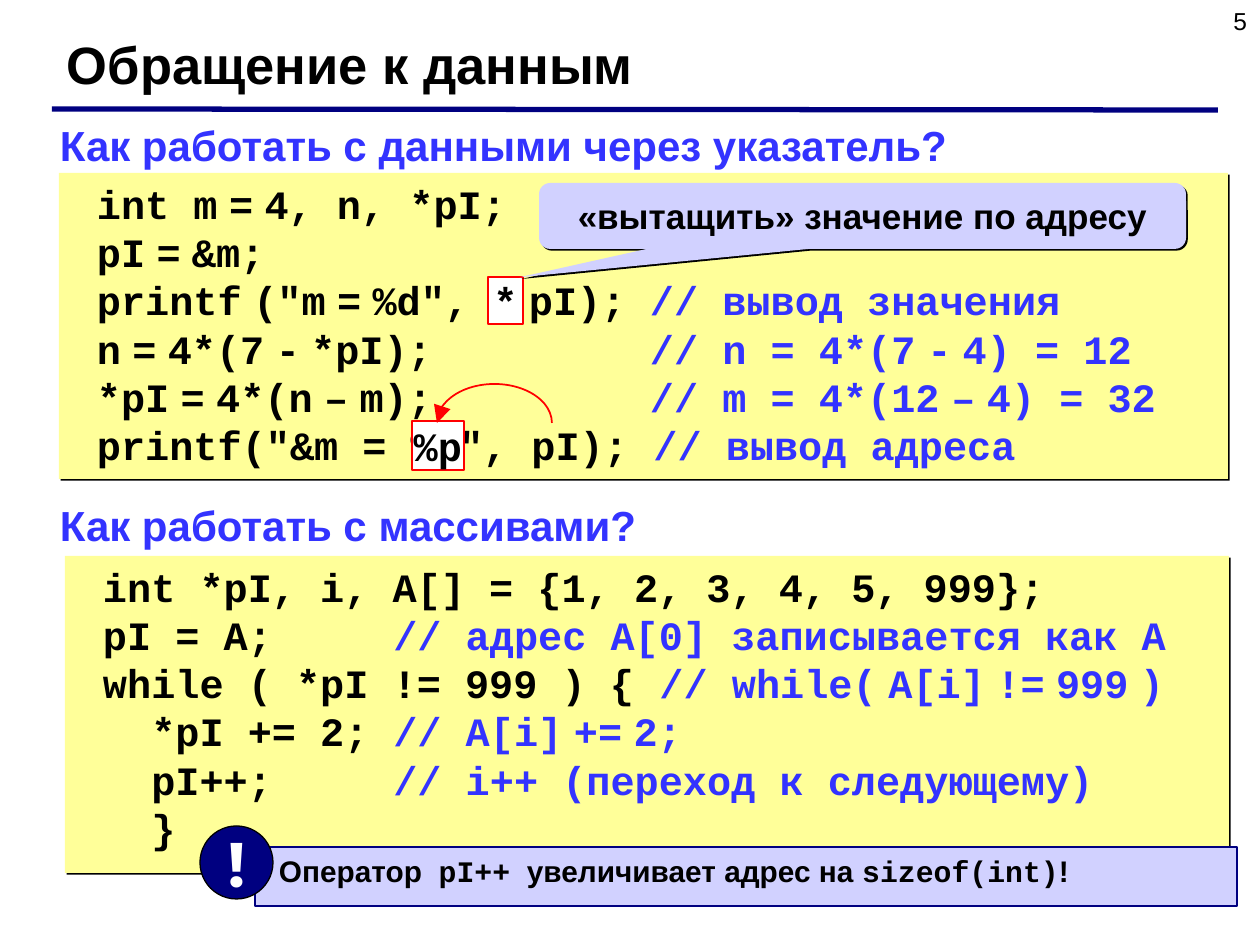
from lxml import etree
from pptx import Presentation
from pptx.dml.color import RGBColor
from pptx.enum.shapes import MSO_CONNECTOR, MSO_SHAPE
from pptx.enum.text import MSO_ANCHOR, PP_ALIGN
from pptx.oxml.ns import qn
from pptx.util import Pt

EMU_PER_PX = 914400 / 126
RECT, ELLIPSE, ARC = MSO_SHAPE.RECTANGLE, MSO_SHAPE.OVAL, MSO_SHAPE.ARC
CALLOUT = MSO_SHAPE.ROUNDED_RECTANGULAR_CALLOUT
STRAIGHT = MSO_CONNECTOR.STRAIGHT
LEFT, CENTER, RIGHT = PP_ALIGN.LEFT, PP_ALIGN.CENTER, PP_ALIGN.RIGHT
TOP, MIDDLE = MSO_ANCHOR.TOP, MSO_ANCHOR.MIDDLE

SANS, MONO, DISPLAY = "Arial", "Courier New", "Montserrat"
NARROW = "~"
COLORS = {
    "ink": "000000", "paper": "FFFFFF", "navy": "000080", "blue": "3333FF",
    "code": "FFFF99", "lilac": "D1D1FF", "red": "FF0000",
}
POINTER_CODE = [
    ("int m~=~4, n, *pI;", ""),
    ("pI~=~&m;", ""),
    ('printf~("m~=~%d", *~pI); ', "// вывод значения"),
    ("n~=~4*(7~-~*pI);         ", "// n = 4*(7~-~4) = 12"),
    ("*pI~=~4*(n~–~m);         ", "// m = 4*(12~–~4) = 32"),
    ('printf("&m = %p", pI); ', "// вывод адреса"),
]
ARRAY_CODE = [
    ("int *pI, i, A[] = {1, 2, 3, 4, 5, 999};", ""),
    ("pI = A;     ", "// адрес A[0] записывается как A"),
    ("while ( *pI != 999 ) { ", "// while(~A[i]~!=~999~)"),
    ("  *pI += 2; ", "// A[i]~+=~2;"),
    ("  pI++;     ", "// i++ (переход к следующему)"),
    ("  }", ""),
]


def px(value):
    """Turn px into EMU."""
    return round(value * EMU_PER_PX)


def rgb(name):
    """Look up a palette colour."""
    return RGBColor.from_string(COLORS[name])


class SlideBuilder:
    """Draw styled elements on the current slide."""

    def __init__(self, slide):
        self.slide = slide

    def frame(self, shape, left=13, anchor=TOP, wrap=True):
        """Prepare the text frame of a shape."""
        frame = shape.text_frame
        frame.word_wrap = wrap
        frame.vertical_anchor = anchor
        frame.margin_left, frame.margin_right = px(left), px(13)
        frame.margin_top = frame.margin_bottom = px(6)
        return frame

    def font(self, font, size, face=SANS, color="ink", bold=True):
        """Set every property of a font."""
        font.size, font.name, font.bold = Pt(size), face, bold
        font.color.rgb = rgb(color)

    def text(self, box, words, size, color="ink", bold=True, align=LEFT, spacing=1.0):
        """Add a one-line text box."""
        label = self.slide.shapes.add_textbox(*map(px, box))
        line = self.frame(label).paragraphs[0]
        line.text, line.alignment, line.line_spacing = words, align, spacing
        self.font(line.font, size, color=color, bold=bold)

    def shape(self, kind, box, fill=None, line=None, width=1, shadow=False):
        """Add a preset shape."""
        shape = self.slide.shapes.add_shape(kind, *map(px, box))
        shape.shadow.inherit = False
        if fill:
            shape.fill.solid()
            shape.fill.fore_color.rgb = rgb(fill)
        else:
            shape.fill.background()
        if line:
            shape.line.color.rgb = rgb(line)
            shape.line.width = Pt(width)
        else:
            shape.line.fill.background()
        if shadow:
            effects = shape._element.spPr.find(qn("a:effectLst"))
            outer = etree.SubElement(effects, qn("a:outerShdw"), dist="17961", dir="2700000")
            etree.SubElement(outer, qn("a:srgbClr"), val=COLORS["ink"])
        return shape

    def centered(self, shape, words, size, face, color="ink", wrap=False):
        """Write one centred line in a shape."""
        line = self.frame(shape, anchor=MIDDLE, wrap=wrap).paragraphs[0]
        line.text, line.alignment = words, CENTER
        self.font(line.font, size, face, color)

    def code(self, box, listing):
        """Add a code panel with coloured comments."""
        frame = self.frame(self.shape(RECT, box, "code", shadow=True), left=38)
        for index, (statement, comment) in enumerate(listing):
            line = frame.add_paragraph() if index else frame.paragraphs[0]
            line.alignment, line.line_spacing = LEFT, 1.0
            for source, color in ((statement, "ink"), (comment, "blue")):
                for position, piece in enumerate(source.split(NARROW)):
                    if position:
                        self.run(line, " ", 23, SANS, color)
                    if piece:
                        self.run(line, piece, 23, MONO, color)

    def run(self, line, words, size, face, color="ink"):
        """Append one run to a paragraph."""
        run = line.add_run()
        run.text = words
        self.font(run.font, size, face, color)

    def rule(self, start, end, color, width):
        """Add a straight line."""
        rule = self.slide.shapes.add_connector(STRAIGHT, *map(px, start + end))
        rule.line.color.rgb = rgb(color)
        rule.line.width = Pt(width)
        etree.SubElement(rule._element.spPr, qn("a:effectLst"))

    def arc_arrow(self, box, color):
        """Add the upper half of an ellipse with an arrowhead on its left end."""
        arc = self.shape(ARC, box, line=color)
        arc.adjustments[0], arc.adjustments[1] = 108.0, 0.0
        etree.SubElement(arc.line._get_or_add_ln(), qn("a:headEnd"), type="triangle", w="lg", len="lg")

    def note(self, box, parts):
        """Add a framed note with mixed fonts."""
        line = self.frame(self.shape(RECT, box, "lilac", "navy"), left=24).paragraphs[0]
        line.alignment = LEFT
        for words, face in parts:
            self.run(line, words, 17, face)


def main():
    """Build the slide."""
    deck = Presentation()
    deck.slide_width, deck.slide_height = px(1260), px(945)
    page = SlideBuilder(deck.slides.add_slide(deck.slide_layouts[6]))

    page.text((966, 0, 294, 66), "5", 14, bold=False, align=RIGHT)
    page.rule((52, 109), (1218, 110), "navy", 3)
    page.text((54, 26, 1121, 76), "Обращение к данным", 30)
    page.text((47, 119, 1182, 50), "Как работать с данными через указатель?", 24, "blue", spacing=0.9)
    page.text((47, 499, 1182, 50), "Как работать с массивами?", 24, "blue", spacing=0.9)
    page.code((59, 173, 1169, 306), POINTER_CODE)
    page.code((65, 556, 1164, 317), ARRAY_CODE)

    for box, token in (((488, 277, 35, 47), "*"), ((412, 421, 52, 49), "%p")):
        page.centered(page.shape(RECT, box, "paper", "red"), token, 23, MONO)
    page.arc_arrow((437, 384, 115, 78), "red")

    page.note((255, 847, 982, 59), [
        ("Оператор  ", SANS), ("pI++", MONO), ("  увеличивает адрес на ", SANS),
        ("sizeof(int)", MONO), ("!", SANS),
    ])
    badge = page.shape(ELLIPSE, (200, 826, 73, 73), "navy", "ink", 0.75)
    page.centered(badge, "!", 36, DISPLAY, "paper")

    hint = page.shape(CALLOUT, (539, 183, 647, 66), "lilac", shadow=True)
    for index, value in enumerate((-0.53, 0.93, 0.17)):
        hint.adjustments[index] = value
    page.centered(hint, "«вытащить» значение по адресу", 20, SANS, wrap=True)

    deck.save("out.pptx")


if __name__ == "__main__":
    main()
